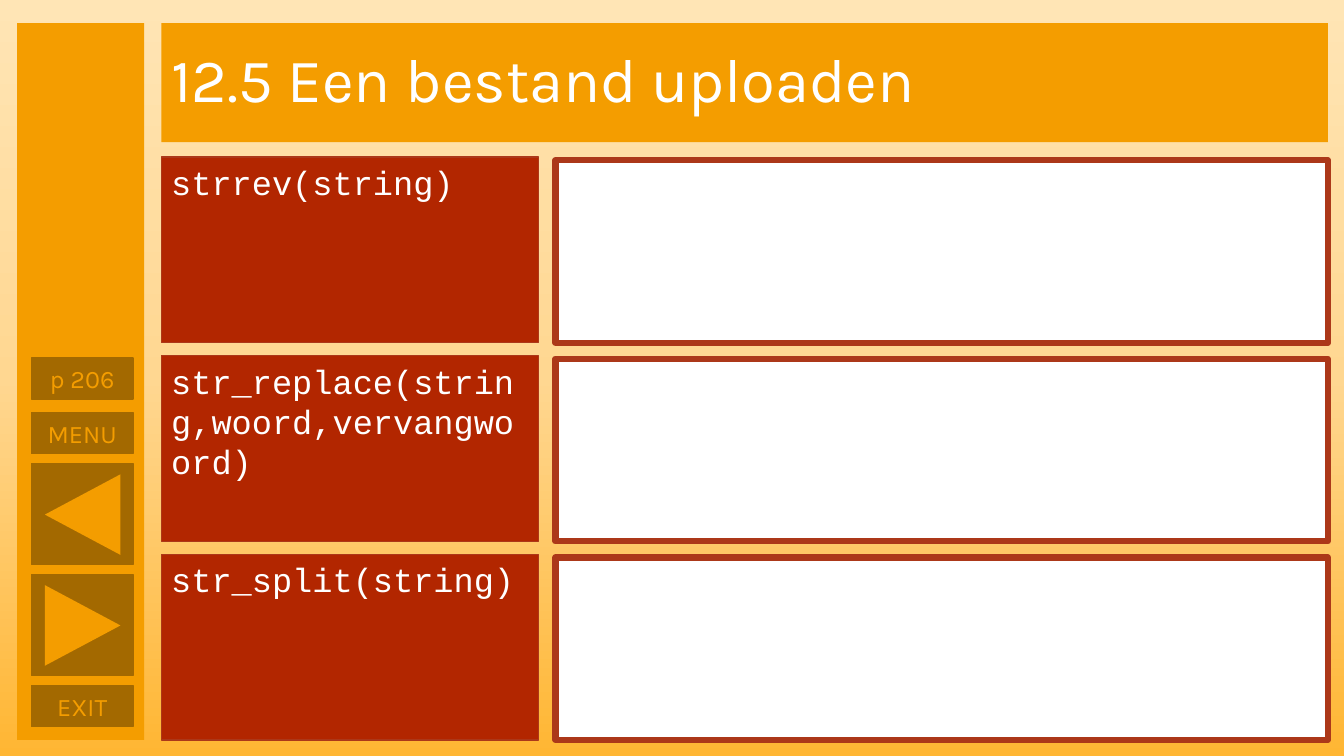
from copy import deepcopy
from pptx import Presentation, util as u
from pptx.dml.color import RGBColor
from pptx.enum import shapes, text

COLORS = {"orange": "F49D00", "brown": "A36900", "red": "B22600", "edge": "AC3819",
          "white": "FFFFFF", "top": "FFE5B5", "middle": "FFD791", "bottom": "FFB633"}
RECT = shapes.MSO_SHAPE.RECTANGLE
TRIANGLE = shapes.MSO_SHAPE.ISOSCELES_TRIANGLE

prs = Presentation()
prs.slide_width, prs.slide_height = u.Inches(13.33), u.Inches(7.5)
s = prs.slides.add_slide(prs.slide_layouts[5])


def write(sp, words, size=18, font="Karla", color="orange", align="CENTER",
          anchor="MIDDLE", spacing=1.0):
    tf = sp.text_frame
    tf.word_wrap = True
    tf.auto_size = text.MSO_AUTO_SIZE.NONE
    tf.vertical_anchor = getattr(text.MSO_ANCHOR, anchor)
    p = tf.paragraphs[0]
    p.alignment = getattr(text.PP_ALIGN, align)
    p.line_spacing = spacing
    r = p.add_run()
    r.text = words
    r.font.size, r.font.name = u.Pt(size), font
    r.font.color.rgb = RGBColor.from_string(COLORS[color])


def block(x, y, w, h, fill, line=None, width=1, kind=RECT):
    sp = s.shapes.add_shape(kind, *(u.Inches(v) for v in (x, y, w, h)))
    sp.shadow.inherit = False
    sp.fill.solid()
    sp.fill.fore_color.rgb = RGBColor.from_string(COLORS[fill])
    if line:
        sp.line.color.rgb = RGBColor.from_string(COLORS[line])
        sp.line.width = u.Pt(width)
    else:
        sp.line.fill.background()
    return sp


bg = s.background.fill
bg.gradient()
bg.gradient_angle = 270
stops = bg.gradient_stops[0]._gs.getparent()
stops.insert(1, deepcopy(stops[0]))
for stop, name, position in zip(bg.gradient_stops, ("top", "middle", "bottom"), (0, 0.5, 1)):
    stop.color.rgb = RGBColor.from_string(COLORS[name])
    stop.position = position

title = s.shapes.title
title.left, title.top, title.width, title.height = (u.Inches(v) for v in (1.6, 0.23, 11.57, 1.18))
title.fill.solid()
title.fill.fore_color.rgb = RGBColor.from_string(COLORS["orange"])
write(title, "12.5 Een bestand uploaden", size=44, color="white", align="LEFT", spacing=0.9)

block(0.17, 0.23, 1.26, 7.11, "orange")
for label, y in (("p 206", 3.55), ("MENU", 4.09), ("EXIT", 6.8)):
    write(block(0.31, y, 1.01, 0.41, "brown", "brown"), label)
for y, rotation in ((4.6, 270), (5.7, 90)):
    block(0.31, y, 1.01, 1, "brown", "brown")
    block(0.42, y + 0.13, 0.8, 0.75, "orange", kind=TRIANGLE).rotation = rotation

functions = ("strrev(string)", "str_replace(string,woord,vervangwoord)", "str_split(string)")
for row, function in enumerate(functions):
    y = 1.56 + 1.97 * row
    sp = block(1.6, y, 3.74, 1.84, "red", "edge")
    write(sp, function, size=24, font="Courier New", color="white", align="LEFT", anchor="TOP")
    block(5.51, y + 0.03, 7.66, 1.81, "white", "edge", width=4.5)

prs.save("out.pptx")
